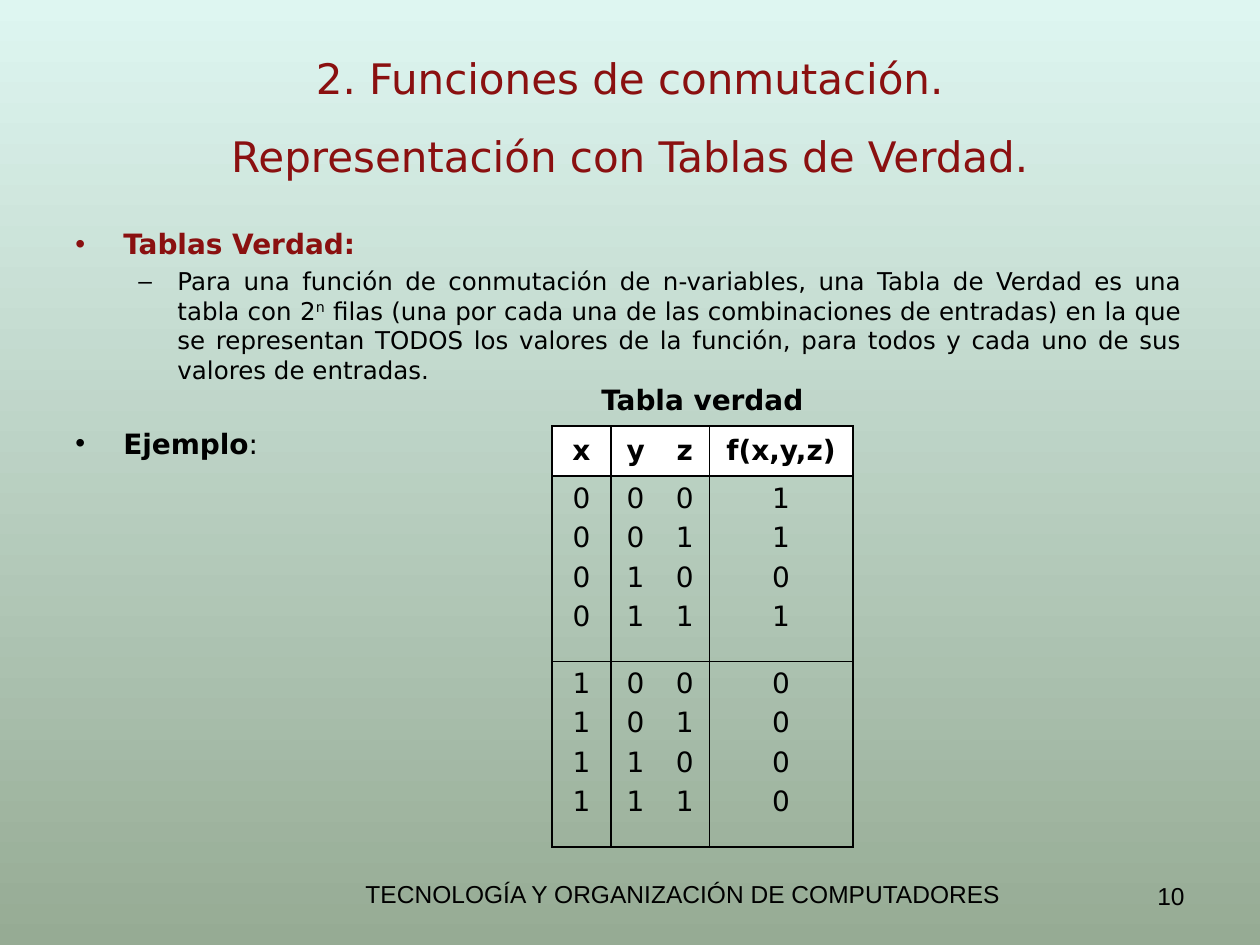
"""Build the truth table slide."""
from dataclasses import dataclass, field
from typing import Any

from lxml.etree import SubElement
from pptx import Presentation
from pptx.dml.color import RGBColor
from pptx.enum.text import MSO_ANCHOR, PP_ALIGN
from pptx.oxml.ns import qn
from pptx.util import Pt


@dataclass(frozen=True)
class Theme:
    red: str = "8A1010"
    ink: str = "000000"
    white: str = "FFFFFF"
    top: str = "DEF6F1"
    base: str = "96AB94"
    font: str = "DejaVu Sans"
    plain: str = "Arial"
    head: float = 24
    body: float = 16
    small: float = 14
    thick: float = 1.08
    thin: float = 0.45


THEME = Theme()


@dataclass(frozen=True)
class Run:
    text: str
    bold: bool = False
    lift: int = 0


@dataclass(frozen=True)
class Para:
    runs: list[Run]
    size: float = THEME.body
    color: str = THEME.ink
    font: str = THEME.font
    form: dict[str, Any] = field(default_factory=dict)
    mark: str = ""
    left: float = 0
    hang: float = 0


@dataclass(frozen=True)
class Box:
    left: float
    top: float
    width: float
    height: float
    paras: list[Para]
    anchor: MSO_ANCHOR = MSO_ANCHOR.TOP


MID = {"alignment": PP_ALIGN.CENTER}
CELL = {**MID, "space_before": Pt(4)}
TITLE = {"size": THEME.head, "color": THEME.red, "form": MID}
FOOT = {"size": THEME.small, "font": THEME.plain}
ITEM = {"mark": "•", "left": 27.36, "hang": 27.36}

BOXES = [
    Box(197.28, 498.96, 385.92, 37.44,
        [Para([Run("TECNOLOGÍA Y ORGANIZACIÓN DE COMPUTADORES")], form=MID, **FOOT)]),
    Box(601.2, 499.68, 82.8, 37.44,
        [Para([Run("10")], form={"alignment": PP_ALIGN.RIGHT}, **FOOT)]),
    Box(18, 58.32, 684, 61.92,
        [Para([Run("Representación con Tablas de Verdad.")], **TITLE)], MSO_ANCHOR.MIDDLE),
    Box(36, 126, 646.56, 356.4, [
        Para([Run("Tablas Verdad:", True)], color=THEME.red,
             form={"space_before": Pt(4)}, **ITEM),
        Para([
            Run("Para una función de conmutación de n-variables, una Tabla de Verdad "
                "es una tabla con 2"),
            Run("n", lift=30),
            Run(" filas (una por cada una de las combinaciones de entradas) en la que "
                "se representan TODOS los valores de la función, para todos y cada uno "
                "de sus valores de entradas."),
        ], size=THEME.small, mark="–", left=58.32, hang=22.32,
            form={"level": 1, "alignment": PP_ALIGN.JUSTIFY, "space_before": Pt(3.5)}),
        Para([Run("Ejemplo", True), Run(":")], form={"space_before": Pt(24)}, **ITEM),
    ]),
    Box(36, 21.6, 648, 45.36,
        [Para([Run("2. Funciones de conmutación.")], **TITLE)], MSO_ANCHOR.MIDDLE),
]

NAMES = ["x", "y", "z", "f(x,y,z)"]
BLOCKS = [["0000", "0011", "0101", "1101"], ["1111", "0011", "0101", "0000"]]
WIDTHS = [48.96, 33.84, 28.08, 28.08, 82.08]
HEIGHTS = [28.8, 28.8, 105.84, 105.84]


def apply(item: Any, form: dict[str, Any]) -> None:
    """Set each format value on the item."""
    for name, value in form.items():
        setattr(item, name, value)


def write(frame: Any, paras: list[Para]) -> None:
    """Fill a text frame with paragraphs."""
    for i, para in enumerate(paras):
        line = frame.paragraphs[0] if i == 0 else frame.add_paragraph()
        apply(line, para.form)
        if para.mark:
            props = line._p.get_or_add_pPr()
            props.set("marL", str(Pt(para.left)))
            props.set("indent", str(-Pt(para.hang)))
            tint = SubElement(props, qn("a:buClr"))
            SubElement(tint, qn("a:srgbClr"), val=para.color)
            SubElement(props, qn("a:buFont"), typeface=THEME.plain)
            SubElement(props, qn("a:buChar"), char=para.mark)
        for part in para.runs:
            run = line.add_run()
            run.text = part.text
            apply(run.font, {"size": Pt(para.size), "name": para.font, "bold": part.bold})
            run.font.color.rgb = RGBColor.from_string(para.color)
            if part.lift:
                run._r.get_or_add_rPr().set("baseline", str(part.lift * 1000))


def draw_box(slide: Any, box: Box) -> None:
    """Add one text box."""
    spot = map(Pt, (box.left, box.top, box.width, box.height))
    frame = slide.shapes.add_textbox(*spot).text_frame
    apply(frame, {"word_wrap": True, "vertical_anchor": box.anchor})
    write(frame, box.paras)


def rule(cell: Any, sides: dict[str, float]) -> None:
    """Draw the borders of a cell."""
    props = cell._tc.get_or_add_tcPr()
    for side, width in sides.items():
        edge = SubElement(props, qn(f"a:ln{side}"), w=str(Pt(width)))
        SubElement(SubElement(edge, qn("a:solidFill")), qn("a:srgbClr"), val=THEME.ink)


def edges(row: int, col: int) -> dict[str, float]:
    """Give the border widths at a place in the grid."""
    sides = {}
    if col in (1, 4):
        sides["L"] = THEME.thick if col == 1 else THEME.thin
    if col in (3, 4):
        sides["R"] = THEME.thin if col == 3 else THEME.thick
    sides["T"] = THEME.thin if row == 3 else THEME.thick
    sides["B"] = THEME.thin if row == 2 else THEME.thick
    return sides


def draw_table(slide: Any) -> None:
    """Add the truth table."""
    spot = map(Pt, (266.4, 214.56, sum(WIDTHS), sum(HEIGHTS)))
    table = slide.shapes.add_table(len(HEIGHTS), len(WIDTHS), *spot).table
    apply(table, {"first_row": False, "horz_banding": False})
    table._tbl.tblPr.find(qn("a:tableStyleId")).text = "{2D5ABB26-0587-4C30-8999-92F81FD0307C}"
    for col, width in zip(table.columns, WIDTHS):
        col.width = Pt(width)
    for row, height in zip(table.rows, HEIGHTS):
        row.height = Pt(height)
    grid = [NAMES, *BLOCKS]
    for r, texts in enumerate(grid, 1):
        for c, text in enumerate(texts, 1):
            cell = table.cell(r, c)
            head = r == 1
            rule(cell, edges(r, c))
            lines = [text] if head else list(text)
            write(cell.text_frame, [Para([Run(t, head)], form=CELL) for t in lines])
            if head:
                cell.vertical_anchor = MSO_ANCHOR.MIDDLE
                cell.fill.solid()
                cell.fill.fore_color.rgb = RGBColor.from_string(THEME.white)
            else:
                cell.fill.background()
    label = table.cell(0, 1)
    label.merge(table.cell(0, 4))
    label.vertical_anchor = MSO_ANCHOR.MIDDLE
    write(label.text_frame, [Para([Run("Tabla verdad", True)], form=CELL)])
    table.cell(1, 0).merge(table.cell(3, 0))
    for cell in (table.cell(0, 0), label, table.cell(1, 0)):
        cell.fill.background()


def main() -> None:
    """Build and save the slide."""
    deck = Presentation()
    apply(deck, {"slide_width": Pt(720), "slide_height": Pt(540)})
    slide = deck.slides.add_slide(deck.slide_layouts[6])
    fill = slide.background.fill
    fill.gradient()
    fill.gradient_angle = 270
    for stop, color in zip(fill.gradient_stops, (THEME.top, THEME.base)):
        stop.color.rgb = RGBColor.from_string(color)
    for box in BOXES[:-1]:
        draw_box(slide, box)
    draw_table(slide)
    draw_box(slide, BOXES[-1])
    deck.save("out.pptx")


if __name__ == "__main__":
    main()
